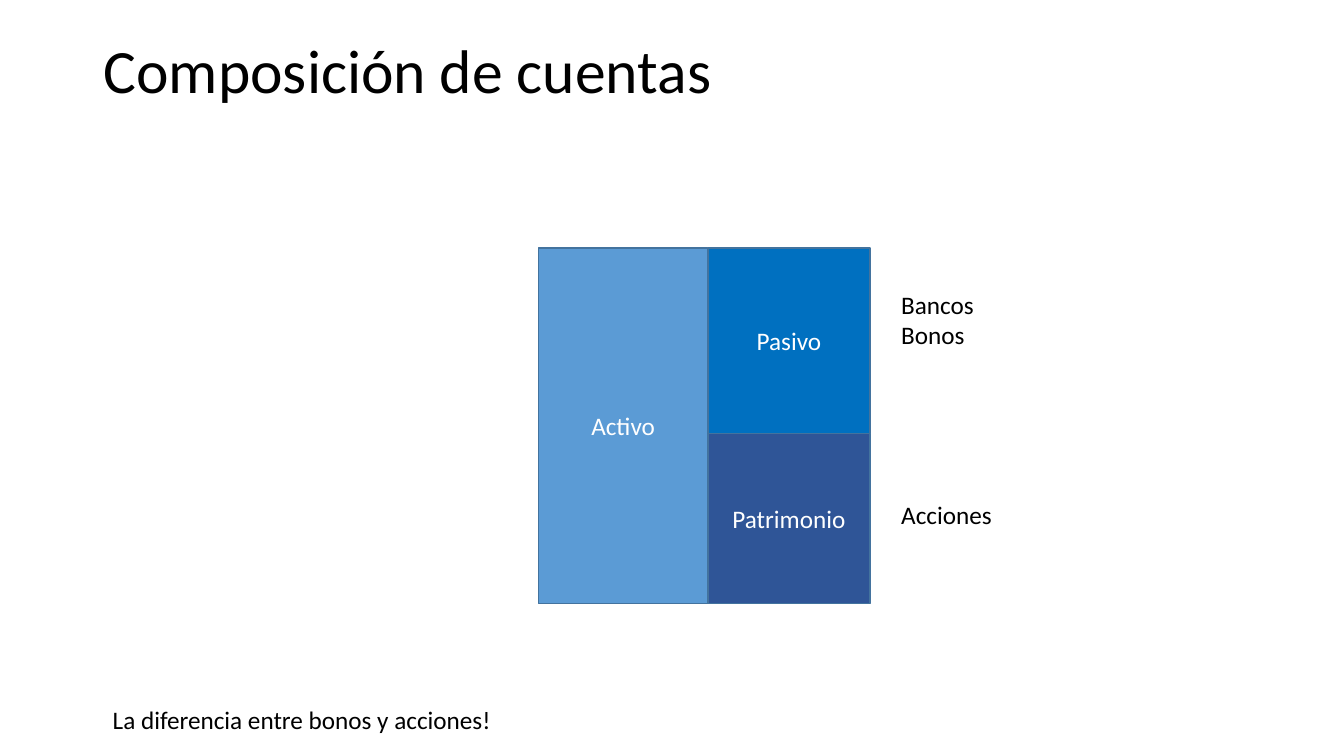
from dataclasses import dataclass

from pptx import Presentation
from pptx.dml.color import RGBColor
from pptx.enum.shapes import MSO_SHAPE
from pptx.enum.text import MSO_ANCHOR, PP_ALIGN
from pptx.util import Inches, Pt

RECTANGLE = MSO_SHAPE.RECTANGLE
MIDDLE, TOP = MSO_ANCHOR.MIDDLE, MSO_ANCHOR.TOP
CENTER, LEFT = PP_ALIGN.CENTER, PP_ALIGN.LEFT


@dataclass(frozen=True)
class Theme:
    font: str = "Calibri"
    title_size: int = 44
    body_size: int = 18
    outline_width: int = 1
    text: str = "000000"
    block_text: str = "FFFFFF"
    outline: str = "43739E"
    assets: str = "5B9BD5"
    liabilities: str = "0070C0"
    equity: str = "2F5597"


THEME = Theme()


def write_lines(frame, lines, size, color, align=LEFT, anchor=TOP, spacing=1.0):
    frame.text = "\n".join(lines)
    frame.word_wrap = True
    frame.vertical_anchor = anchor
    for paragraph in frame.paragraphs:
        paragraph.alignment = align
        paragraph.line_spacing = spacing
        paragraph.font.name = THEME.font
        paragraph.font.size = Pt(size)
        paragraph.font.color.rgb = RGBColor.from_string(color)


def add_title(slide, left, top, width, height, title):
    box = slide.shapes.add_textbox(Inches(left), Inches(top), Inches(width), Inches(height))
    write_lines(box.text_frame, [title], THEME.title_size, THEME.text, anchor=MIDDLE, spacing=0.9)


def add_label(slide, left, top, width, height, lines):
    box = slide.shapes.add_textbox(Inches(left), Inches(top), Inches(width), Inches(height))
    write_lines(box.text_frame, lines, THEME.body_size, THEME.text)
    box.text_frame.word_wrap = False


def add_account_block(group, left, top, width, height, account, fill):
    block = group.shapes.add_shape(
        RECTANGLE, Inches(left), Inches(top), Inches(width), Inches(height))
    block.shadow.inherit = False
    block.fill.solid()
    block.fill.fore_color.rgb = RGBColor.from_string(fill)
    block.line.color.rgb = RGBColor.from_string(THEME.outline)
    block.line.width = Pt(THEME.outline_width)
    write_lines(block.text_frame, [account], THEME.body_size, THEME.block_text, CENTER, MIDDLE)


def add_balance_sheet(slide, left, top, width, height):
    """Assets fill the left column; liabilities sit above equity on the right."""
    assets_width, liabilities_height = 1.68, 1.84
    right = left + assets_width
    right_width = width - assets_width
    equity_top = top + liabilities_height
    group = slide.shapes.add_group_shape()
    add_account_block(group, left, top, assets_width, height, "Activo", THEME.assets)
    add_account_block(group, right, top, right_width, liabilities_height,
                      "Pasivo", THEME.liabilities)
    add_account_block(group, right, equity_top, right_width, height - liabilities_height,
                      "Patrimonio", THEME.equity)

    sources_left = left + width + 0.21
    add_label(slide, sources_left, top + 0.36, 0.93, 0.71, ["Bancos", "Bonos"])
    add_label(slide, sources_left, equity_top + 0.6, 1.11, 0.4, ["Acciones"])


def main():
    deck = Presentation()
    deck.slide_width, deck.slide_height = Inches(13.33), Inches(7.5)
    slide = deck.slides.add_slide(deck.slide_layouts[6])
    add_title(slide, 0.93, 0, 11.5, 1.45, "Composición de cuentas")
    add_balance_sheet(slide, 5.34, 2.46, 3.29, 3.53)
    add_label(slide, 1.02, 6.94, 4, 0.4, ["La diferencia entre bonos y acciones!"])
    deck.save("out.pptx")


if __name__ == "__main__":
    main()
